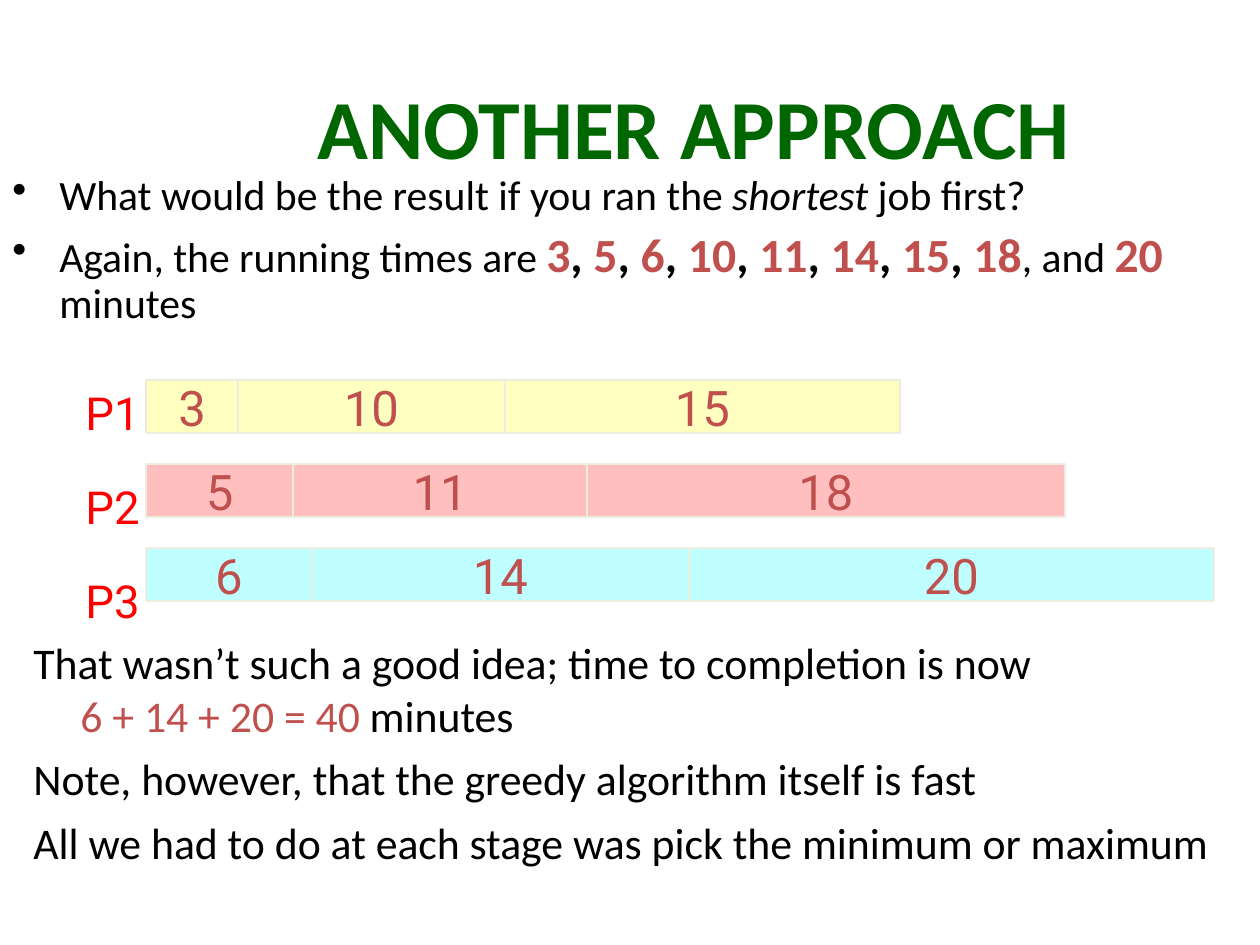
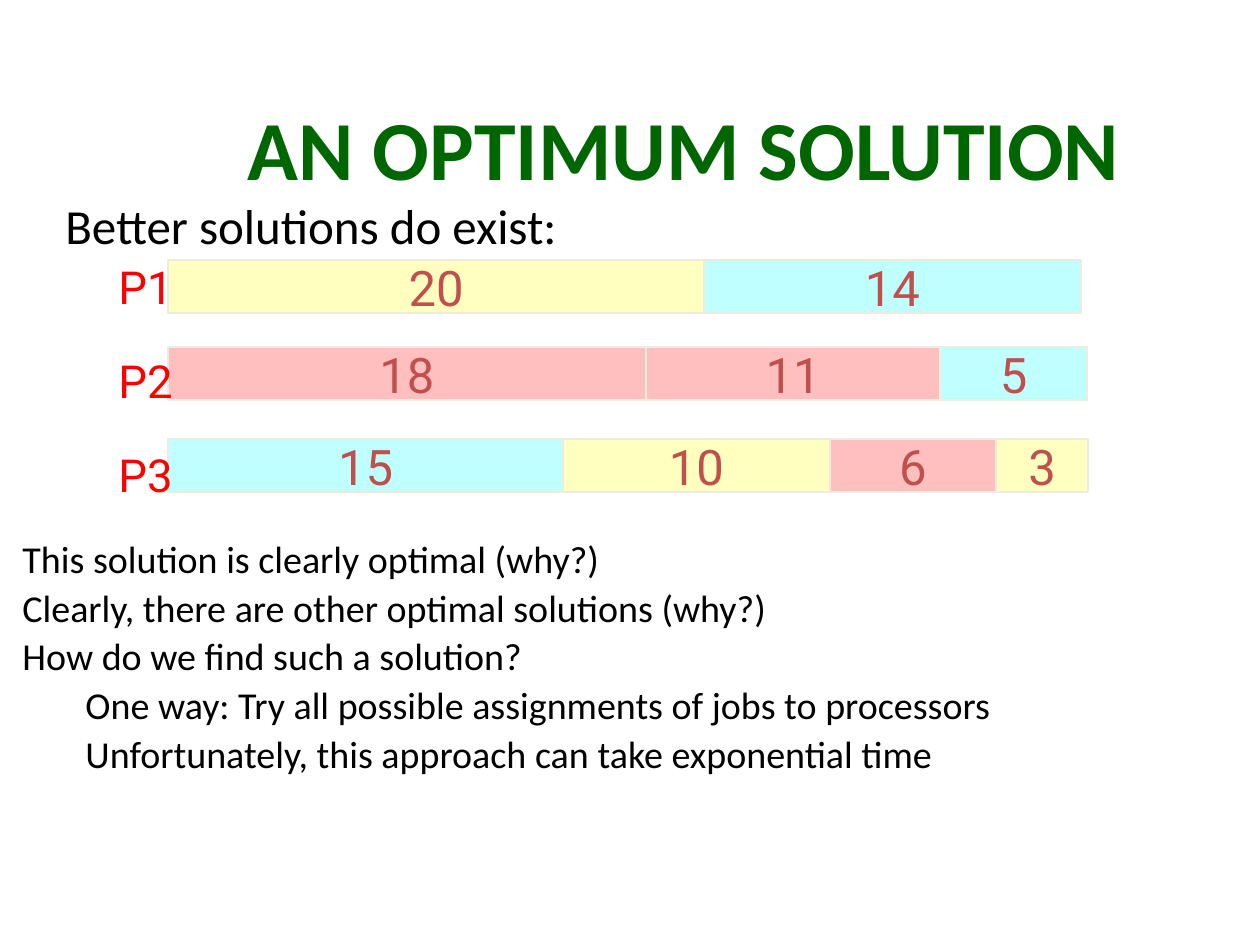
from lxml import etree
from pptx import Presentation
from pptx.dml.color import RGBColor
from pptx.enum.shapes import MSO_SHAPE
from pptx.enum.text import MSO_ANCHOR, PP_ALIGN
from pptx.oxml.ns import qn
from pptx.util import Emu, Pt

RECT = MSO_SHAPE.RECTANGLE
MIDDLE = MSO_ANCHOR.MIDDLE
TOP = MSO_ANCHOR.TOP
CENTER = PP_ALIGN.CENTER
LEFT = PP_ALIGN.LEFT

BODY, DIGIT = "Calibri", "Roboto"
BLACK, GREEN, BRICK, RED = "000000", "006600", "C0504D", "FF0000"
YELLOW, PINK, CYAN, EDGE = "FFFFBF", "FFBFBF", "BFFFFF", "EEECE1"
WIDTHS = {3: 92, 5: 147, 6: 166, 10: 267, 11: 294, 14: 377, 15: 395, 18: 478, 20: 525}
BAR = 53
HANG = (47, -47)
NEST = (102, -39)


def px(count):
    return Emu(round(count * 914400 / 126))


def paint(color):
    return RGBColor.from_string(color)


def put(frame, lines, size=28, font=BODY, color=BLACK, bold=False, align=LEFT,
        anchor=TOP, wrap=True, indent=None, nested=(), bullet=None,
        spacing=None, before=0):
    frame.word_wrap = wrap
    frame.vertical_anchor = anchor
    for index, line in enumerate(lines):
        para = frame.add_paragraph() if index else frame.paragraphs[0]
        para.alignment = align
        props = para._p.get_or_add_pPr()
        if index in nested:
            para.level = 1
        if indent:
            margin, first = NEST if index in nested else indent
            props.set("marL", str(px(margin)))
            props.set("indent", str(px(first)))
        if bullet:
            etree.SubElement(props, qn("a:buChar")).set("char", bullet)
        if spacing:
            para.line_spacing = spacing
        if index:
            para.space_before = Pt(before)
        for part in [(line, {})] if isinstance(line, str) else line:
            if part is None:
                para.add_line_break()
                continue
            text, style = part
            run = para.add_run()
            run.text = text
            run.font.name = font
            run.font.size = Pt(style.get("size", size))
            run.font.bold = style.get("bold", bold)
            run.font.italic = style.get("italic", False)
            run.font.color.rgb = paint(style.get("color", color))


def write(slide, box, lines, **style):
    shape = slide.shapes.add_textbox(*map(px, box))
    put(shape.text_frame, lines, **style)


def title(slide, left, top, text):
    write(slide, (left, top, 1074, 105), [text], size=48, color=GREEN,
          bold=True, align=CENTER, anchor=MIDDLE)


def bar(slide, box, fill, text):
    shape = slide.shapes.add_shape(RECT, *map(px, box))
    shape.shadow.inherit = False
    shape.fill.solid()
    shape.fill.fore_color.rgb = paint(fill)
    shape.line.color.rgb = paint(EDGE)
    shape.line.width = Pt(1)
    put(shape.text_frame, [text], font=DIGIT, color=BRICK, align=CENTER,
        anchor=MIDDLE, wrap=False)


def chart(slide, left, tops, rows, label, widths=WIDTHS):
    for top, row in zip(tops, rows):
        edge = left
        for job, fill in row:
            bar(slide, (edge, top, widths[job], BAR), fill, str(job))
            edge += widths[job]
    write(slide, (*label, 83, 266), ["P1", "P2", "P3"], size=26, font=DIGIT,
          color=RED, spacing=1.2, before=16.2)


def greedy(slide):
    title(slide, 157, 73, "ANOTHER APPROACH")
    loud = {"size": 27.2, "bold": True}
    mark = loud | {"color": BRICK}
    times = []
    for job in sorted(WIDTHS)[:-1]:
        times += [(str(job), mark), (", ", loud)]
    times[-1] = (", and ", {})
    write(slide, (0, 168, 1229, 198), [
        [("What would be the result if you ran the ", {}),
         ("shortest", {"italic": True}), (" job first?", {})],
        [("Again, the running times are ", {}), *times,
         ("20 ", mark), ("minutes", {})],
    ], size=23.8, indent=HANG, bullet="•", spacing=0.9, before=7)
    write(slide, (21, 630, 1229, 252), [
        [("That wasn’t such a good idea; time to completion is now", {}), None,
         ("6 + 14 + 20 = 40", {"color": BRICK}), (" minutes", {})],
        "Note, however, that the greedy algorithm itself is fast",
        "All we had to do at each stage was pick the minimum or maximum",
    ], size=25, indent=HANG, before=6.2)
    rows = [[(job, fill) for job in jobs] for jobs, fill in (
        ((3, 10, 15), YELLOW), ((5, 11, 18), PINK), ((6, 14, 20), CYAN))]
    chart(slide, 146, range(380, 549, 84), rows, (73, 368))


def optimum(slide):
    title(slide, 147, 94, "AN OPTIMUM SOLUTION")
    write(slide, (53, 189, 1182, 73), ["Better solutions do exist:"], indent=HANG)
    write(slide, (10, 538, 1240, 291), [
        "This solution is clearly optimal (why?)",
        "Clearly, there are other optimal solutions (why?)",
        "How do we find such a solution?",
        "One way: Try all possible assignments of jobs to processors",
        "Unfortunately, this approach can take exponential time",
    ], size=21.7, indent=HANG, nested=(3, 4), spacing=0.8, before=7)
    rows = [
        [(20, YELLOW), (14, CYAN)],
        [(18, PINK), (11, PINK), (5, CYAN)],
        [(15, CYAN), (10, YELLOW), (6, PINK), (3, YELLOW)],
    ]
    chart(slide, 168, (260, 347, 439), rows, (106, 242), WIDTHS | {20: 536})


def main():
    deck = Presentation()
    deck.slide_width, deck.slide_height = px(1260), px(945)
    for build in (greedy, optimum):
        build(deck.slides.add_slide(deck.slide_layouts[6]))
    deck.save("out.pptx")


if __name__ == "__main__":
    main()
